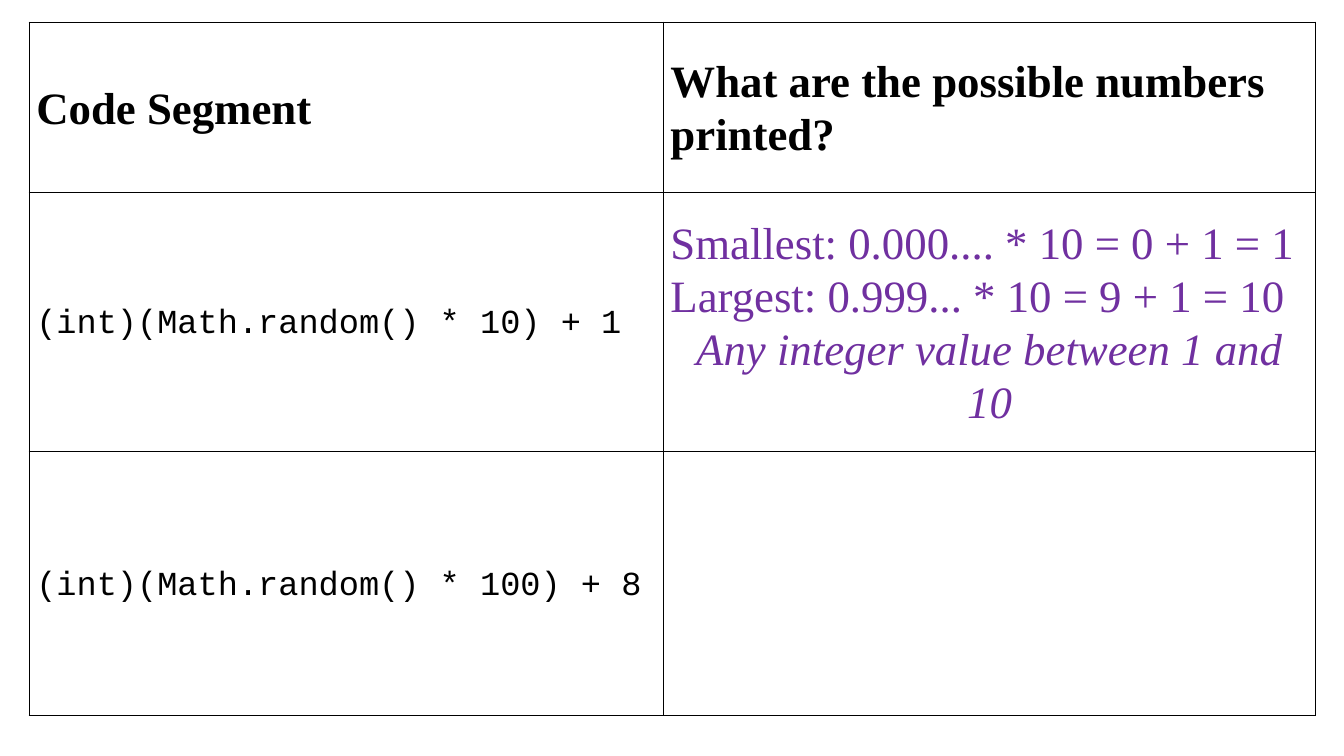
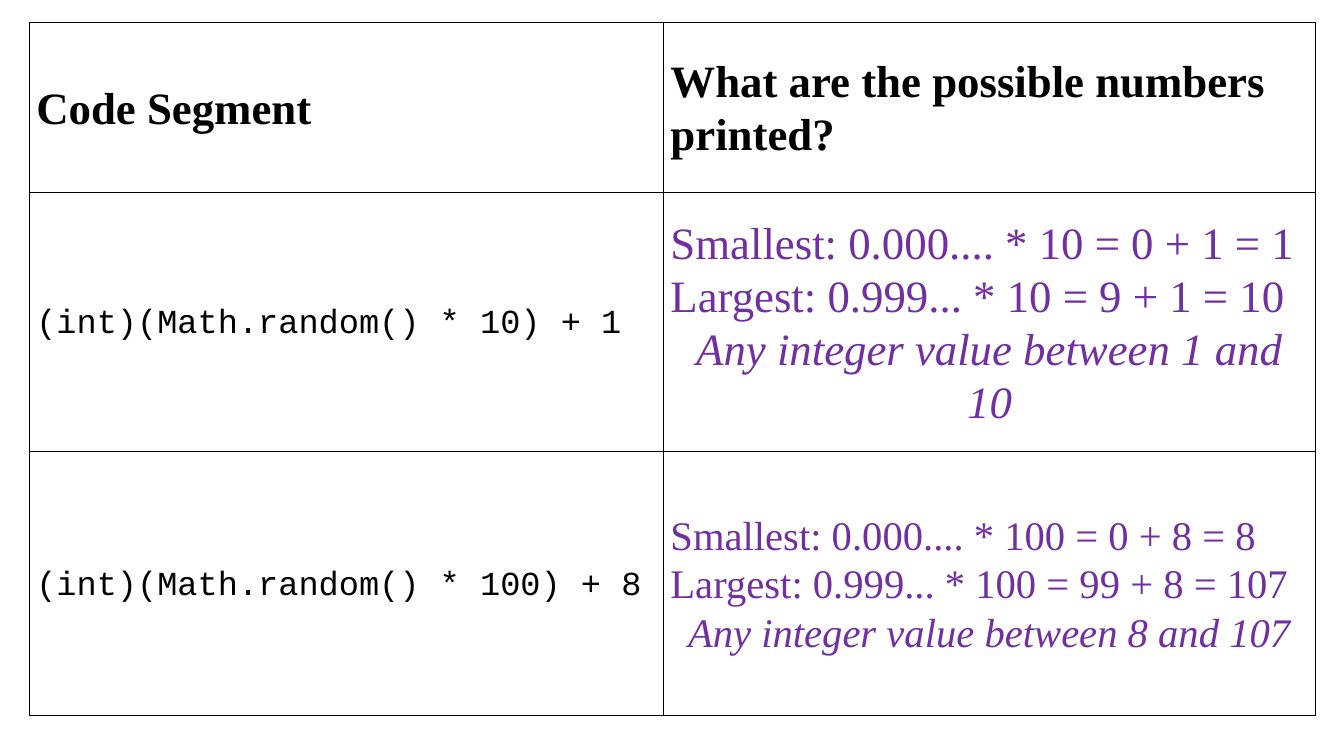
from lxml.etree import SubElement
from pptx import Presentation
from pptx.dml.color import RGBColor
from pptx.enum.text import MSO_ANCHOR, PP_ALIGN
from pptx.oxml.ns import qn
from pptx.util import Inches, Pt

COLORS = {"ink": "000000", "answer": "7030A0", "paper": "FFFFFF"}
SERIF, MONO = "Times New Roman", "Courier New"
COLS = (6.29, 6.47)
ROWS = (1.69, 2.57, 2.62)

HEADS = ("Code Segment", "What are the possible numbers printed?")
CODES = ("(int)(Math.random() * 10) + 1", "(int)(Math.random() * 100) + 8")
ANSWERS = (
    (32, ("Smallest: 0.000.... * 10 = 0 + 1 = 1",
          "Largest: 0.999... * 10 = 9 + 1 = 10",
          "Any integer value between 1 and 10")),
    (29, ("Smallest: 0.000.... * 100 = 0 + 8 = 8",
          "Largest: 0.999... * 100 = 99 + 8 = 107",
          "Any integer value between 8 and 107")),
)


def color(name):
    return RGBColor.from_string(COLORS[name])


def border(cell):
    props = cell._tc.get_or_add_tcPr()
    for side in ("lnL", "lnR", "lnT", "lnB"):
        line = SubElement(props, qn(f"a:{side}"), w=str(Pt(1)))
        fill = SubElement(line, qn("a:solidFill"))
        SubElement(fill, qn("a:srgbClr"), val=COLORS["ink"])


def dress(cell):
    border(cell)
    cell.fill.solid()
    cell.fill.fore_color.rgb = color("paper")
    cell.vertical_anchor = MSO_ANCHOR.MIDDLE
    cell.margin_left = cell.margin_right = Inches(0.07)
    cell.margin_top = cell.margin_bottom = 0


def style(para, size, face=SERIF, ink="ink", bold=False, space=1.07):
    para.line_spacing = space
    font = para.font
    font.name, font.size, font.bold = face, Pt(size), bold
    font.color.rgb = color(ink)


def write(cell, text, size, **look):
    cell.text = text
    style(cell.text_frame.paragraphs[0], size, **look)


def answer(cell, size, lines):
    """Write the worked lines, with the conclusion centred in italics."""
    cell.text = "\n".join(lines)
    paras = cell.text_frame.paragraphs
    for para in paras:
        style(para, size, ink="answer")
    paras[-1].alignment = PP_ALIGN.CENTER
    paras[-1].font.italic = True


def add_grid(slide):
    table = slide.shapes.add_table(
        len(ROWS), len(COLS), Inches(0.29), Inches(0.22),
        Inches(sum(COLS)), Inches(sum(ROWS))).table
    table.first_row = table.horz_banding = False
    for col, width in zip(table.columns, COLS):
        col.width = Inches(width)
    for row, height in zip(table.rows, ROWS):
        row.height = Inches(height)
    for cell in table.iter_cells():
        dress(cell)
    return table


def add_quiz(deck, shown):
    """Add a slide that reveals the first `shown` answers."""
    table = add_grid(deck.slides.add_slide(deck.slide_layouts[6]))
    for col, head in enumerate(HEADS):
        write(table.cell(0, col), head, 32, bold=True)
    for row, code in enumerate(CODES, 1):
        write(table.cell(row, 0), code, 24, face=MONO, space=1.15)
    for row, (size, lines) in enumerate(ANSWERS[:shown], 1):
        answer(table.cell(row, 1), size, lines)


def main():
    deck = Presentation()
    deck.slide_width, deck.slide_height = Inches(13.33), Inches(7.5)
    for shown in (1, 2):
        add_quiz(deck, shown)
    deck.save("out.pptx")


if __name__ == "__main__":
    main()
